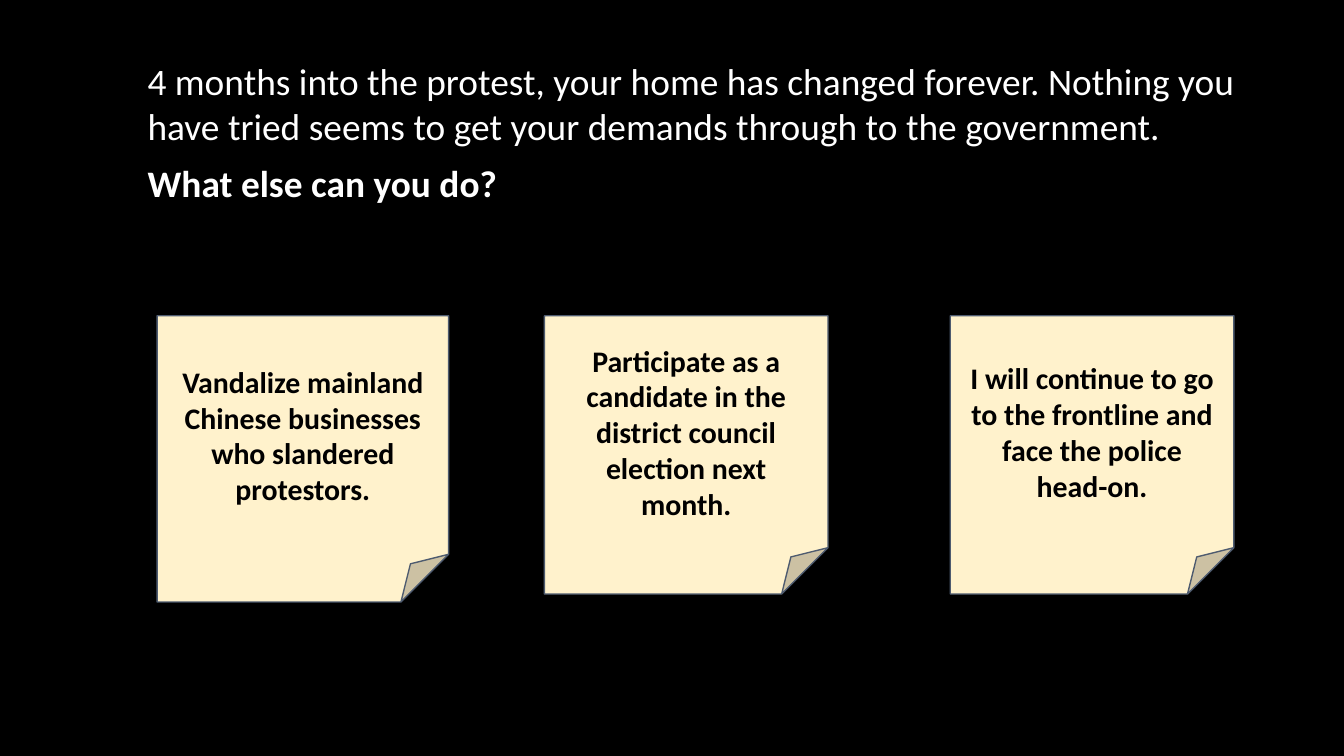
import pptx
import pptx.util
import pptx.dml.color
import pptx.enum.shapes
import pptx.enum.text

Cm = pptx.util.Cm
Pt = pptx.util.Pt
Shape = pptx.enum.shapes.MSO_SHAPE
Align = pptx.enum.text.PP_ALIGN
Anchor = pptx.enum.text.MSO_ANCHOR

WIDTH, HEIGHT = 25.4, 14.29
BLEED = 0.15
BLACK, WHITE, CREAM, SLATE = "000000", "FFFFFF", "FFF2CC", "4E5B6F"


def paint(fill, color):
    fill.solid()
    fill.fore_color.rgb = pptx.dml.color.RGBColor.from_string(color)


def write(para, text, size=16, color=BLACK, bold=False, align=Align.LEFT, before=0):
    para.alignment = align
    para.space_before = Pt(before)
    run = para.add_run()
    run.text = text
    run.font.name = "Calibri"
    run.font.size = Pt(size)
    run.font.bold = bold
    paint(run.font.fill, color)


def add_shape(slide, kind, left, top, width, height, color):
    shape = slide.shapes.add_shape(kind, Cm(left), Cm(top), Cm(width), Cm(height))
    shape.shadow.inherit = False
    paint(shape.fill, color)
    paint(shape.line.fill, SLATE)
    shape.line.width = Pt(0.75)
    return shape


def add_note(slide, text, left, width, height):
    note = add_shape(slide, Shape.FOLDED_CORNER, left, 5.97, width, height, CREAM)
    frame = note.text_frame
    frame.word_wrap = True
    frame.vertical_anchor = Anchor.MIDDLE
    frame.margin_left = frame.margin_right = Cm(0.25)
    frame.margin_top = frame.margin_bottom = Cm(0.25)
    write(frame.paragraphs[0], text, bold=True, align=Align.CENTER)


def add_prompt(slide, story, question):
    box = slide.shapes.add_textbox(Cm(2.54), Cm(0.97), Cm(21.59), Cm(9.53))
    frame = box.text_frame
    frame.word_wrap = True
    write(frame.paragraphs[0], story, size=20, color=WHITE)
    write(frame.add_paragraph(), question, size=20, color=WHITE, bold=True, before=7)


def main():
    deck = pptx.Presentation()
    deck.slide_width, deck.slide_height = Cm(WIDTH), Cm(HEIGHT)
    slide = deck.slides.add_slide(deck.slide_layouts[6])
    paint(slide.background.fill, BLACK)
    add_shape(slide, Shape.RECTANGLE, -BLEED, -BLEED,
              WIDTH + 2 * BLEED, HEIGHT + 2 * BLEED, BLACK)
    add_prompt(
        slide,
        "4 months into the protest, your home has changed forever. "
        "Nothing you have tried seems to get your demands through to the government.",
        "What else can you do?",
    )
    notes = [
        ("I will continue to go to the frontline and face the police head-on.",
         17.96, 5.36, 5.26),
        ("Participate as a candidate in the district council election next month.",
         10.29, 5.36, 5.26),
        ("Vandalize mainland Chinese businesses who slandered protestors.",
         2.97, 5.51, 5.41),
    ]
    for note in notes:
        add_note(slide, *note)
    deck.save("out.pptx")


if __name__ == "__main__":
    main()
